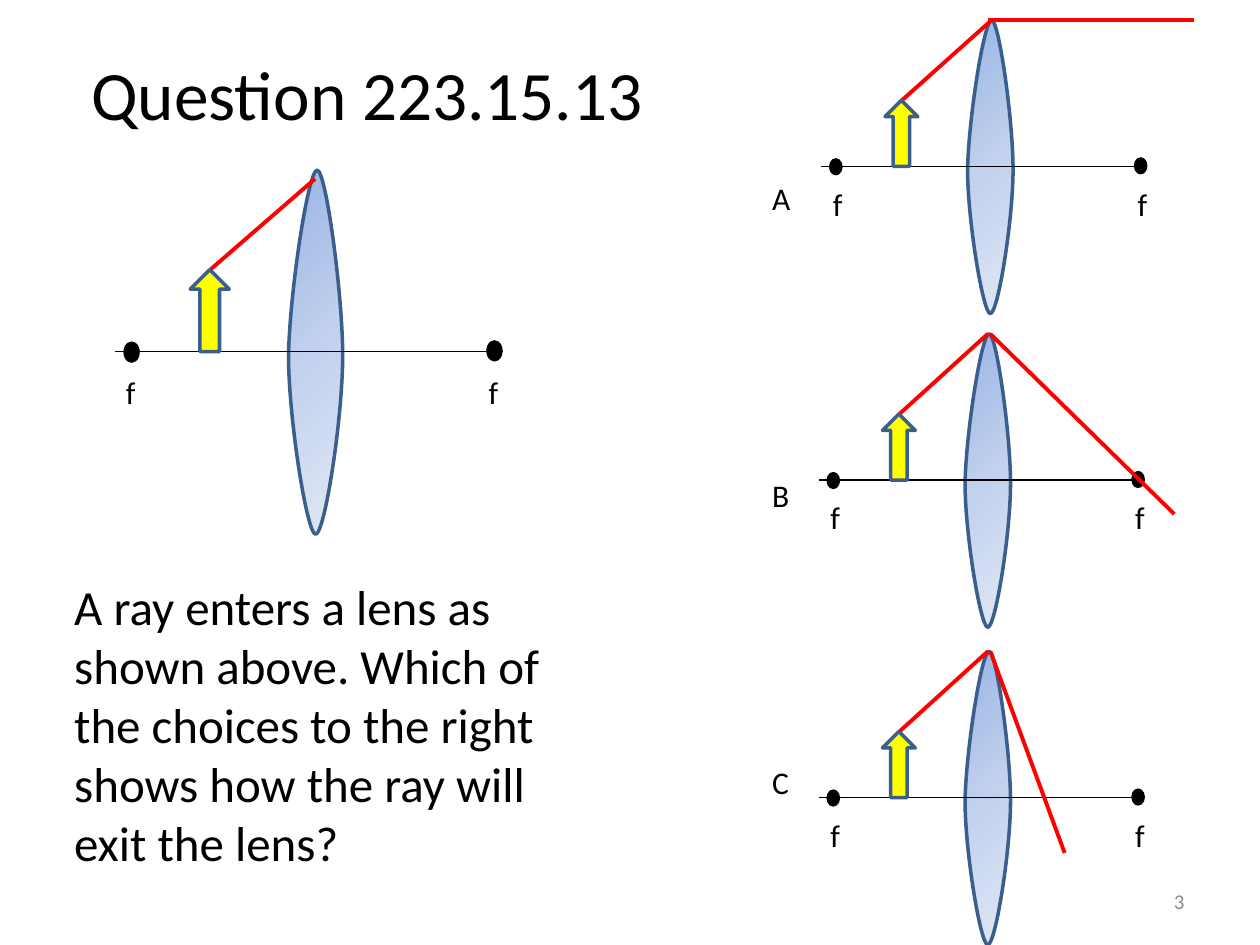
from copy import deepcopy

from lxml.etree import SubElement
from pptx import Presentation
from pptx.dml.color import RGBColor
from pptx.enum.shapes import MSO_CONNECTOR, MSO_SHAPE
from pptx.enum.text import MSO_ANCHOR, PP_ALIGN
from pptx.oxml.ns import qn
from pptx.util import Inches, Pt

BLACK = RGBColor(0x00, 0x00, 0x00)
GREY = RGBColor(0x8C, 0x8C, 0x8C)
RED = RGBColor(0xFF, 0x00, 0x00)
YELLOW = RGBColor(0xFF, 0xFF, 0x00)
OUTLINE = RGBColor(0x3A, 0x5F, 0x8C)
LENS_STOPS = [
    (0, RGBColor(0x9A, 0xB5, 0xE4)),
    (0.5, RGBColor(0xC2, 0xD1, 0xED)),
    (1, RGBColor(0xE1, 0xE8, 0xF5)),
]

# Lens outline as cubic curves, in fractions of its width and height
LENS_START = (0.53, 0)
LENS_CURVES = [
    ((0.36, 0), (0.02, 0.34), (0, 0.51)),
    ((0, 0.68), (0.34, 1), (0.5, 1)),
    ((0.67, 1), (1, 0.68), (1, 0.51)),
    ((1, 0.34), (0.69, 0), LENS_START),
]

# Left end of the axis, scale across and down, and tip of the incoming ray
QUESTION = ((0.91, 2.79), (1, 1), (2.5, 1.42))
SMALL = (0.84, 0.806)
# Name, label top, axis start, ray tip, start and end of the outgoing ray
CHOICES = [
    ("A", 1.37, (6.52, 1.32), (7.87, 0.16), (7.84, 0.16), (9.48, 0.16)),
    ("B", 3.73, (6.5, 3.81), (7.84, 2.65), (7.86, 2.65), (9.32, 4.08)),
    ("C", 6.01, (6.5, 6.33), (7.84, 5.17), (7.86, 5.17), (8.45, 6.77)),
]


def add_text(shapes, text, box, size, color=BLACK, wrap=True,
             align=PP_ALIGN.LEFT, anchor=MSO_ANCHOR.TOP):
    shape = shapes.add_textbox(*map(Inches, box))
    frame = shape.text_frame
    frame.word_wrap = wrap
    frame.vertical_anchor = anchor
    paragraph = frame.paragraphs[0]
    paragraph.alignment = align
    run = paragraph.add_run()
    run.text = text
    for name, value in {"name": "Calibri", "size": Pt(size)}.items():
        setattr(run.font, name, value)
    run.font.color.rgb = color


def add_line(shapes, start, end, color, width):
    connector = shapes.add_connector(
        MSO_CONNECTOR.STRAIGHT, *map(Inches, (*start, *end)))
    connector.line.color.rgb = color
    connector.line.width = Pt(width)
    SubElement(connector._element.spPr, qn("a:effectLst"))


def add_ray(shapes, start, end):
    add_line(shapes, start, end, RED, 2.25)


def add_filled(shapes, kind, box, color, outlined=False):
    shape = shapes.add_shape(kind, *map(Inches, box))
    shape.shadow.inherit = False
    shape.fill.solid()
    shape.fill.fore_color.rgb = color
    if outlined:
        set_outline(shape)
    else:
        shape.line.fill.background()


def set_outline(shape):
    shape.line.color.rgb = OUTLINE
    shape.line.width = Pt(2)


def bend_segments(shape, curves):
    """Turn each straight segment of a freeform into a cubic curve."""
    segments = list(shape._element.spPr.iter(qn("a:lnTo")))
    for segment, curve in zip(segments, curves):
        segment.tag = qn("a:cubicBezTo")
        for point in list(segment):
            segment.remove(point)
        for x, y in curve:
            SubElement(segment, qn("a:pt"), x=str(round(x * shape.width)),
                       y=str(round(y * shape.height)))


def add_lens(shapes, box):
    left, top, width, height = box
    corners = [LENS_START, *(curve[-1] for curve in LENS_CURVES)]
    points = [(Inches(left + x * width), Inches(top + y * height))
              for x, y in corners]
    builder = shapes.build_freeform(*points[0])
    builder.add_line_segments(points[1:], close=True)
    lens = builder.convert_to_shape()
    bend_segments(lens, LENS_CURVES)
    lens.shadow.inherit = False
    lens.fill.gradient()
    lens.fill.gradient_angle = 315
    first_stop = next(lens._element.spPr.iter(qn("a:gs")))
    first_stop.addnext(deepcopy(first_stop))
    for stop, (position, color) in zip(lens.fill.gradient_stops, LENS_STOPS):
        stop.position = position
        stop.color.rgb = color
    set_outline(lens)


def add_diagram(slide, axis_start, scale, ray_tip):
    """Group a lens, its axis, foci, object arrow and incoming ray."""
    shapes = slide.shapes.add_group_shape().shapes
    across, down = scale

    def place(x, y):
        return axis_start[0] + x * across, axis_start[1] + y * down

    def place_box(x, y, width, height):
        return (*place(x, y), width * across, height * down)

    add_lens(shapes, place_box(1.38, -1.44, 0.43, 2.89))
    add_line(shapes, axis_start, place(3.08, 0), BLACK, 0.75)
    for x, y in [(2.95, -0.09), (0.07, -0.08)]:
        add_filled(shapes, MSO_SHAPE.OVAL, place_box(x, y, 0.13, 0.17), BLACK)
    add_ray(shapes, place(0.76, -0.65), ray_tip)
    for x in (-0.01, 2.87):
        add_text(shapes, "f", place_box(x, 0.12, 0.28, 0.42), 18, wrap=False)
    add_filled(shapes, MSO_SHAPE.UP_ARROW,
               place_box(0.6, -0.65, 0.31, 0.65), YELLOW, outlined=True)


def main():
    presentation = Presentation()
    presentation.slide_width = Inches(10)
    presentation.slide_height = Inches(7.5)
    slide = presentation.slides.add_slide(presentation.slide_layouts[6])

    add_text(slide.shapes, "Question 223.15.13", (0.41, 0.11, 5.01, 1.25),
             39.6, align=PP_ALIGN.CENTER, anchor=MSO_ANCHOR.MIDDLE)
    add_text(slide.shapes,
             "A ray enters a lens as shown above. Which of the choices to "
             "the right shows how the ray will exit the lens?",
             (0.49, 4.53, 4.42, 2.73), 28)
    add_text(slide.shapes, "3", (7.17, 6.95, 2.33, 0.4), 12, GREY,
             align=PP_ALIGN.RIGHT, anchor=MSO_ANCHOR.MIDDLE)

    add_diagram(slide, *QUESTION)
    for name, label_top, axis_start, ray_tip, exit_start, exit_end in CHOICES:
        add_text(slide.shapes, name, (6.03, label_top, 0.37, 0.4), 18,
                 wrap=False)
        add_diagram(slide, axis_start, SMALL, ray_tip)
        add_ray(slide.shapes, exit_start, exit_end)

    presentation.save("out.pptx")


if __name__ == "__main__":
    main()
